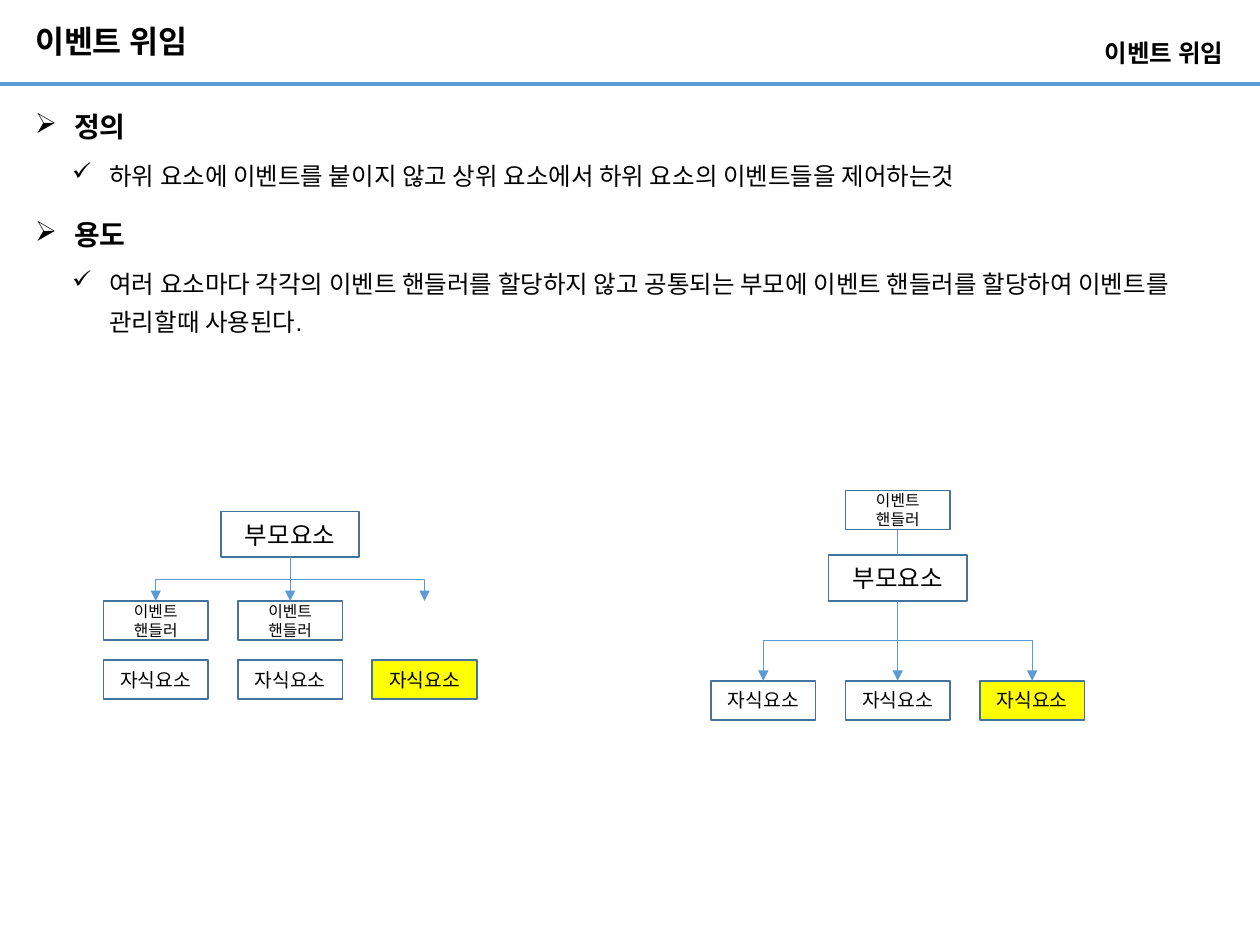
"""Build the event delegation slide."""
from dataclasses import dataclass

from lxml import etree
from pptx import Presentation
from pptx.dml.color import RGBColor
from pptx.enum import shapes, text
from pptx.oxml import ns
from pptx.util import Pt

KOREAN = "Noto Sans CJK KR"
BLUE = "5B9BD5"
PITCH = 76.8


@dataclass
class Box:
    lines: tuple
    size: float
    width: float = 59.8
    height: float = 22.3
    fill: str = "FFFFFF"


@dataclass
class Item:
    label: str
    bullet: str
    size: float
    bold: bool
    left: float
    hang: float
    before: float


PARENT = Box(("부모요소",), 14, 79.2, 26)
HANDLER = Box(("이벤트", "핸들러"), 9)
CHILD = Box(("자식요소",), 11)
TARGET = Box(("자식요소",), 11, fill="FFFF00")
CHILDREN = (CHILD, CHILD, TARGET)


def heading(label: str) -> Item:
    return Item(label, "➢", 16, True, 22.3, 22.3, 10)


def detail(label: str) -> Item:
    return Item(label, "✓", 14, False, 42.5, 21.3, 5)


ITEMS = (
    heading("정의"),
    detail("하위 요소에 이벤트를 붙이지 않고 상위 요소에서 하위 요소의 이벤트들을 제어하는것"),
    heading("용도"),
    detail("여러 요소마다 각각의 이벤트 핸들러를 할당하지 않고 공통되는 부모에 "
           "이벤트 핸들러를 할당하여 이벤트를 관리할때 사용된다."),
)


def color(value: str) -> RGBColor:
    return RGBColor.from_string(value)


def add_run(p, label: str, size: float, bold: bool = False, font: str = KOREAN) -> None:
    r = p.add_run()
    r.text = label
    r.font.size, r.font.bold, r.font.name = Pt(size), bold, font
    r.font.color.rgb = color("000000")
    etree.SubElement(r.font._element, ns.qn("a:ea"), typeface=KOREAN)


def set_frame(tf, side: float, edge: float, anchor) -> None:
    tf.word_wrap = True
    tf.auto_size = text.MSO_AUTO_SIZE.NONE
    tf.margin_left = tf.margin_right = Pt(side)
    tf.margin_top = tf.margin_bottom = Pt(edge)
    tf.vertical_anchor = anchor


def add_title(s, label: str) -> None:
    sp = s.shapes.title
    sp.left, sp.top, sp.width, sp.height = Pt(20), Pt(0), Pt(471), Pt(49)
    set_frame(sp.text_frame, 0, 0, text.MSO_ANCHOR.MIDDLE)
    p = sp.text_frame.paragraphs[0]
    p.alignment, p.line_spacing = text.PP_ALIGN.LEFT, 0.9
    add_run(p, label, 18, True, "Arial")


def add_subtitle(s, label: str) -> None:
    tf = s.shapes.add_textbox(Pt(458.6), Pt(20.2), Pt(240.5), Pt(28)).text_frame
    set_frame(tf, 0, 3.6, text.MSO_ANCHOR.TOP)
    p = tf.paragraphs[0]
    p.alignment, p.line_spacing, p.space_before = text.PP_ALIGN.RIGHT, 0.9, Pt(10)
    add_run(p, label, 14, True)


def add_items(s, items: tuple) -> None:
    tf = s.shapes.add_textbox(Pt(20), Pt(57), Pt(680.4), Pt(155.5)).text_frame
    set_frame(tf, 0, 0, text.MSO_ANCHOR.TOP)
    for i, item in enumerate(items):
        p = tf.add_paragraph() if i else tf.paragraphs[0]
        p.line_spacing, p.space_before = 1.3, Pt(item.before)
        p.level = 0 if item.bold else 1
        pPr = p._p.get_or_add_pPr()
        pPr.set("marL", str(Pt(item.left)))
        pPr.set("indent", str(-Pt(item.hang)))
        etree.SubElement(pPr, ns.qn("a:buChar"), char=item.bullet)
        add_run(p, item.label, item.size, item.bold, "Arial")


def add_box(s, box: Box, center: float, top: float) -> None:
    sp = s.shapes.add_shape(shapes.MSO_SHAPE.RECTANGLE, Pt(center - box.width / 2),
                            Pt(top), Pt(box.width), Pt(box.height))
    sp.shadow.inherit = False
    sp.fill.solid()
    sp.fill.fore_color.rgb = color(box.fill)
    sp.line.color.rgb, sp.line.width = color("43739E"), Pt(1)
    tf = sp.text_frame
    set_frame(tf, 7.2, 3.6, text.MSO_ANCHOR.MIDDLE)
    for i, label in enumerate(box.lines):
        p = tf.add_paragraph() if i else tf.paragraphs[0]
        p.alignment = text.PP_ALIGN.CENTER
        add_run(p, label, box.size)


def add_line(s, x1: float, y1: float, x2: float, y2: float, width: float = 0.5,
             arrow: bool = False, kind=shapes.MSO_CONNECTOR.STRAIGHT):
    c = s.shapes.add_connector(kind, Pt(x1), Pt(y1), Pt(x2), Pt(y2))
    c.line.color.rgb, c.line.width = color(BLUE), Pt(width)
    if arrow:
        etree.SubElement(c.line._get_or_add_ln(), ns.qn("a:tailEnd"), type="triangle")
    etree.SubElement(c._element.spPr, ns.qn("a:effectLst"))
    return c


def add_elbow(s, x1: float, y1: float, x2: float, y2: float) -> None:
    """Draw an elbow arrow that leaves downwards, as a quarter-turned connector."""
    cx, cy = (x1 + x2) / 2, (y1 + y2) / 2
    half_h = abs(x2 - x1) / 2
    half_w = (y2 - y1) / 2 * (1 if x2 < x1 else -1)
    c = add_line(s, cx - half_w, cy - half_h, cx + half_w, cy + half_h,
                 arrow=True, kind=shapes.MSO_CONNECTOR.ELBOW)
    turn = 90 if x2 < x1 else 270
    c._element.spPr.find(ns.qn("a:xfrm")).set("rot", str(turn * 60000))


def add_branches(s, center: float, top: float, bottom: float) -> None:
    add_elbow(s, center, top, center - PITCH, bottom)
    add_line(s, center, top, center, bottom, arrow=True)
    add_elbow(s, center, top, center + PITCH, bottom)


def add_row(s, boxes: tuple, center: float, top: float) -> None:
    for i, box in enumerate(boxes):
        add_box(s, box, center + (i - 1) * PITCH, top)


def main() -> None:
    prs = Presentation()
    prs.slide_width, prs.slide_height = Pt(720), Pt(540)
    s = prs.slides.add_slide(prs.slide_layouts[5])
    add_line(s, 0, 48.2, 720, 48.2, 2.25)
    add_title(s, "이벤트 위임")
    add_subtitle(s, "이벤트 위임")
    add_items(s, ITEMS)

    left, right = 165.8, 513
    add_box(s, PARENT, left, 292.3)
    add_row(s, (HANDLER, HANDLER), left, 343.4)
    add_row(s, CHILDREN, left, 377.2)
    add_branches(s, left, 318.3, 343.4)

    add_box(s, HANDLER, right, 280.3)
    add_box(s, PARENT, right, 317.3)
    add_row(s, CHILDREN, right, 389)
    add_line(s, right, 302.6, right, 317.3)
    add_branches(s, right, 343.3, 389)
    prs.save("out.pptx")


if __name__ == "__main__":
    main()
